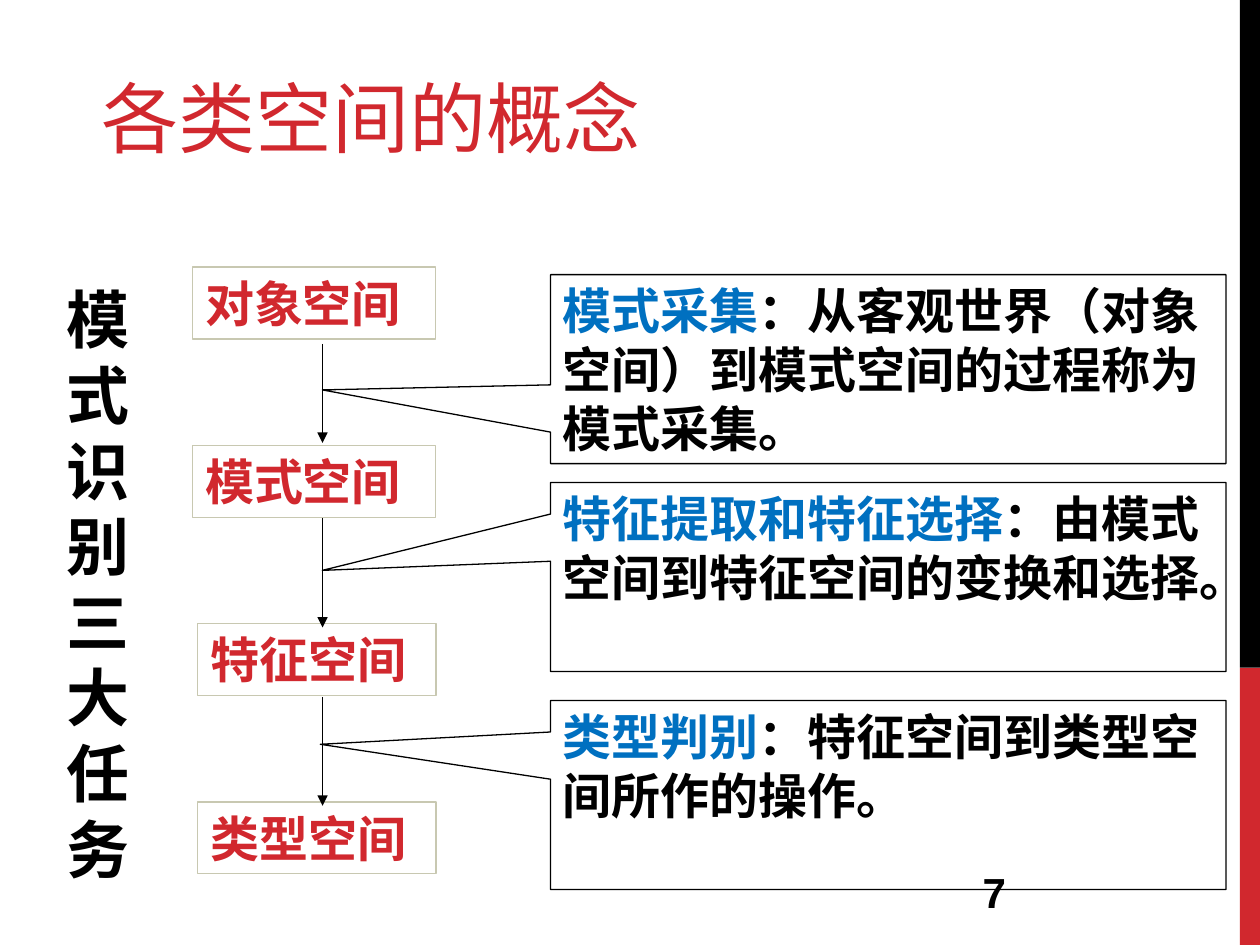
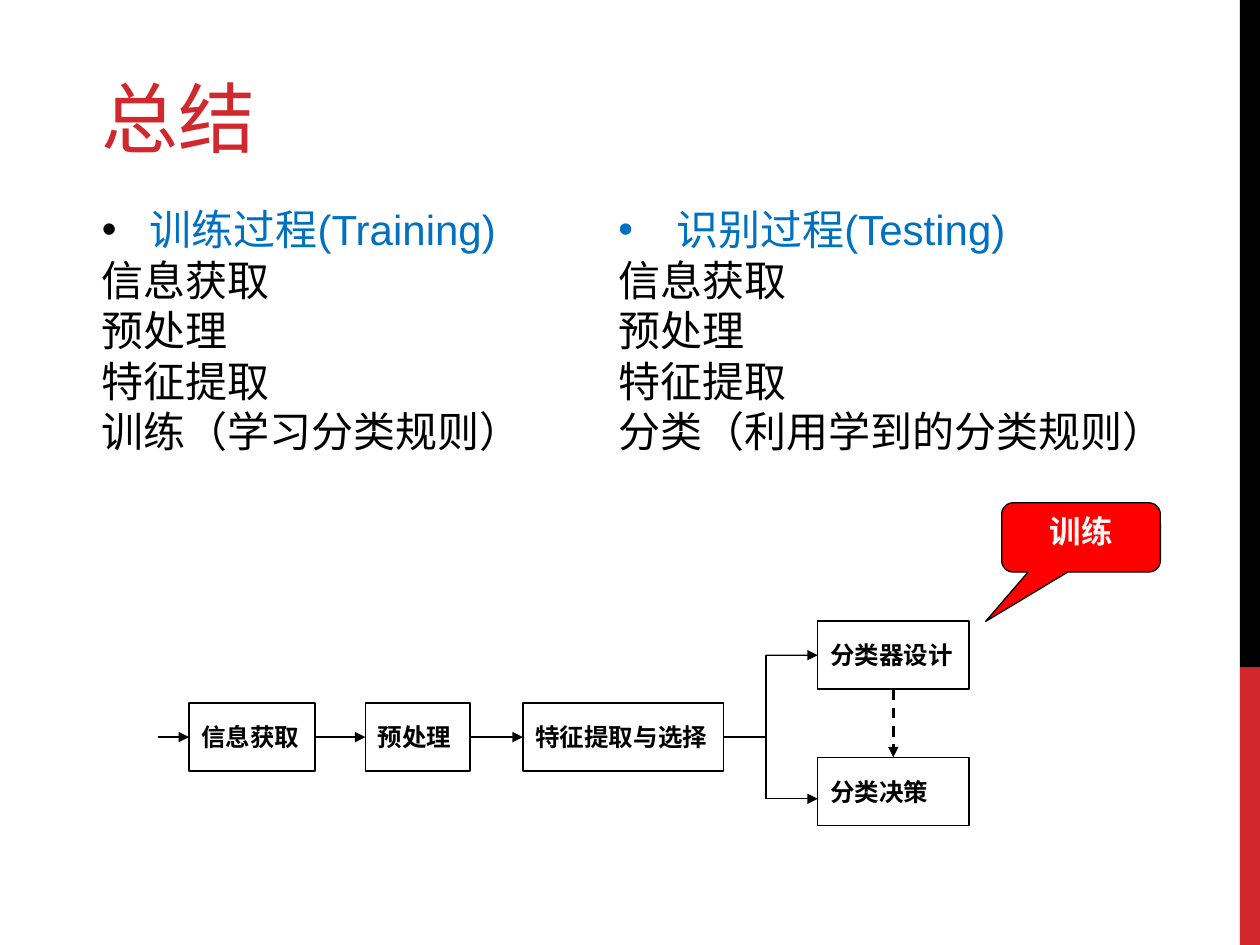
from lxml import etree
from pptx import Presentation
from pptx.dml.color import RGBColor
from pptx.enum.dml import MSO_LINE
from pptx.enum.shapes import MSO_CONNECTOR, MSO_SHAPE
from pptx.enum.text import MSO_ANCHOR, PP_ALIGN
from pptx.oxml.ns import qn
from pptx.util import Inches, Pt

RED, BLUE, BLACK, WHITE = "D1282E", "0070C0", "000000", "FFFFFF"
FRAME_GREY, ALERT_RED, OFF_WHITE = "C8C8B1", "FF0000", "F8F8F8"
BODY_FONT, TITLE_FONT = "Arial", "Montserrat"
TOP, LEFT, BOTTOM, RIGHT = range(4)


def rgb(value):
    return RGBColor.from_string(value)


def add_runs(paragraph, runs, size, bold=False, font=BODY_FONT):
    """Each run is a (text, colour) pair."""
    for text, color in runs:
        run = paragraph.add_run()
        run.text = text
        run.font.name = font
        run.font.size = Pt(size)
        run.font.bold = bold
        run.font.color.rgb = rgb(color)


def fill_frame(frame, paragraphs, size, bold=False, font=BODY_FONT,
               align=PP_ALIGN.LEFT, anchor=MSO_ANCHOR.TOP):
    frame.word_wrap = True
    frame.vertical_anchor = anchor
    for index, runs in enumerate(paragraphs):
        paragraph = frame.add_paragraph() if index else frame.paragraphs[0]
        paragraph.alignment = align
        add_runs(paragraph, runs, size, bold, font)


def add_text(slide, box, paragraphs, size, **style):
    frame = slide.shapes.add_textbox(*map(Inches, box)).text_frame
    fill_frame(frame, paragraphs, size, **style)
    return frame


def add_box(slide, kind, box, fill=None, line=None):
    shape = slide.shapes.add_shape(kind, *map(Inches, box))
    shape.shadow.inherit = False
    if fill:
        shape.fill.solid()
        shape.fill.fore_color.rgb = rgb(fill)
    else:
        shape.fill.background()
    if line:
        shape.line.color.rgb = rgb(line)
        shape.line.width = Pt(0.75)
    else:
        shape.line.fill.background()
    return shape


def add_callout(slide, kind, box, adjustments, fill=None):
    callout = add_box(slide, kind, box, fill, BLACK)
    for index, value in enumerate(adjustments):
        callout.adjustments[index] = value
    return callout


def add_line(slide, start, end, begin=None, finish=None, arrow=True, width=0.75):
    """begin and finish are optional (shape, side) pairs to join."""
    line = slide.shapes.add_connector(MSO_CONNECTOR.STRAIGHT, *map(Inches, (*start, *end)))
    if begin:
        line.begin_connect(*begin)
    if finish:
        line.end_connect(*finish)
    line.line.color.rgb = rgb(BLACK)
    line.line.width = Pt(width)
    if arrow:
        etree.SubElement(line.line._get_or_add_ln(), qn("a:tailEnd"), type="triangle")
    etree.SubElement(line._element.spPr, qn("a:effectLst"))
    return line


def add_bullet(paragraph, color, indent):
    properties = paragraph._p.get_or_add_pPr()
    properties.set("marL", str(Inches(indent)))
    properties.set("indent", str(-Inches(indent)))
    bullet_color = etree.SubElement(properties, qn("a:buClr"))
    etree.SubElement(bullet_color, qn("a:srgbClr"), val=color)
    etree.SubElement(properties, qn("a:buFont"), typeface=BODY_FONT)
    etree.SubElement(properties, qn("a:buChar"), char="•")


def new_slide(prs, title):
    slide = prs.slides.add_slide(prs.slide_layouts[6])
    add_box(slide, MSO_SHAPE.RECTANGLE, (9.84, 5.3, 0.16, 2.2), RED)
    add_box(slide, MSO_SHAPE.RECTANGLE, (9.84, 0, 0.16, 5.3), BLACK)
    add_text(slide, (0.71, 0.51, 8.5, 1.17), [[(title, RED)]], 44, font=TITLE_FONT)
    return slide


def space_chain(slide, left, top):
    height, pitch, right, arrow_x = 0.57, 1.415, left + 1.93, left + 1.03
    spaces = [("对象空间", 0), ("模式空间", 0), ("特征空间", 0.04), ("类型空间", 0.04)]
    for index, (name, inset) in enumerate(spaces):
        x = left + inset
        space = add_box(slide, MSO_SHAPE.RECTANGLE,
                        (x, top + index * pitch, right - x, height), line=FRAME_GREY)
        fill_frame(space.text_frame, [[(name, RED)]], 28, bold=True)
    for index, (gap, overlap) in enumerate([(0.04, -0.02), (0.01, 0.03), (0.01, 0.03)]):
        y = top + index * pitch
        add_line(slide, (arrow_x, y + height + gap), (arrow_x, y + pitch + overlap))


def task_callouts(slide, left, top):
    tasks = [
        (0, (-0.838, 0.11), "模式采集", "：从客观世界（对象空间）到模式空间的过程称为模式采集。"),
        (1.65, (-0.838, -0.035), "特征提取和特征选择", "：由模式空间到特征空间的变换和选择。"),
        (3.38, (-0.841, -0.268), "类型判别", "：特征空间到类型空间所作的操作。"),
    ]
    for offset, tip, task, meaning in tasks:
        callout = add_callout(slide, MSO_SHAPE.RECTANGULAR_CALLOUT,
                              (left, top + offset, 5.36, 1.5), tip)
        fill_frame(callout.text_frame, [[(task, BLUE), (meaning, BLACK)]], 28, bold=True)


def spaces_slide(prs):
    slide = new_slide(prs, "各类空间的概念")
    add_text(slide, (7.7, 6.83, 2.08, 0.5), [[("7", BLACK)]], 24, bold=True,
             anchor=MSO_ANCHOR.MIDDLE)
    space_chain(slide, 1.53, 2.12)
    task_callouts(slide, 4.37, 2.18)
    heading = ["模", "式", "识", "别", "三大", "任务"]
    add_text(slide, (0.43, 2.18, 1.02, 4.9), [[(part, BLACK)] for part in heading],
             36, bold=True)


def process_column(slide, left, top, heading, last_step, bullet_color, indent):
    steps = ["信息获取", "预处理", "特征提取", last_step]
    frame = add_text(slide, (left, top, 5, 2.1),
                     [[(heading, BLUE)]] + [[(step, BLACK)] for step in steps], 24)
    add_bullet(frame.paragraphs[0], bullet_color, indent)


def system_flow(slide, left, top):
    height = 0.54

    def stage(name, x, y, width):
        box = add_box(slide, MSO_SHAPE.RECTANGLE,
                      (left + x, top + y, width, height), WHITE, BLACK)
        fill_frame(box.text_frame, [[(name, BLACK)]], 14, bold=True,
                   align=PP_ALIGN.JUSTIFY, anchor=MSO_ANCHOR.MIDDLE)
        return box

    acquire = stage("信息获取", 0.25, 0.65, 1)
    preprocess = stage("预处理", 1.65, 0.65, 0.83)
    extract = stage("特征提取与选择", 2.9, 0.65, 1.59)
    design = stage("分类器设计", 5.24, 0, 1.2)
    decide = stage("分类决策", 5.24, 1.08, 1.2)

    main_y, design_y, decide_y = top + 0.92, top + 0.27, top + 1.41
    fork_x, branch_x = left + 4.83, left + 5.24
    add_line(slide, (left, main_y), (left + 0.25, main_y), finish=(acquire, LEFT))
    for source, target in [(acquire, preprocess), (preprocess, extract)]:
        add_line(slide, (0, 0), (0, 0), (source, RIGHT), (target, LEFT))
    add_line(slide, (left + 4.49, main_y), (fork_x, main_y), begin=(extract, RIGHT), arrow=False)
    add_line(slide, (fork_x, design_y), (fork_x, decide_y), arrow=False)
    add_line(slide, (fork_x, design_y), (branch_x, design_y), finish=(design, LEFT))
    add_line(slide, (fork_x, decide_y), (branch_x, decide_y))
    training = add_line(slide, (0, 0), (0, 0), (design, BOTTOM), (decide, TOP), width=1.5)
    training.line.dash_style = MSO_LINE.DASH


def summary_slide(prs):
    slide = new_slide(prs, "总结")
    process_column(slide, 0.71, 1.57, "训练过程(Training)", "训练（学习分类规则）", BLACK, 0.38)
    process_column(slide, 4.81, 1.57, "识别过程(Testing)", "分类（利用学到的分类规则）", BLUE, 0.46)
    system_flow(slide, 1.25, 4.93)
    training = add_callout(slide, MSO_SHAPE.ROUNDED_RECTANGULAR_CALLOUT,
                           (7.95, 3.99, 1.26, 0.55), (-0.602, 1.214, 0.167), ALERT_RED)
    fill_frame(training.text_frame, [[("训练", OFF_WHITE)]], 18, bold=True,
               align=PP_ALIGN.CENTER)


def main():
    prs = Presentation()
    prs.slide_width, prs.slide_height = Inches(10), Inches(7.5)
    spaces_slide(prs)
    summary_slide(prs)
    prs.save("out.pptx")


if __name__ == "__main__":
    main()
